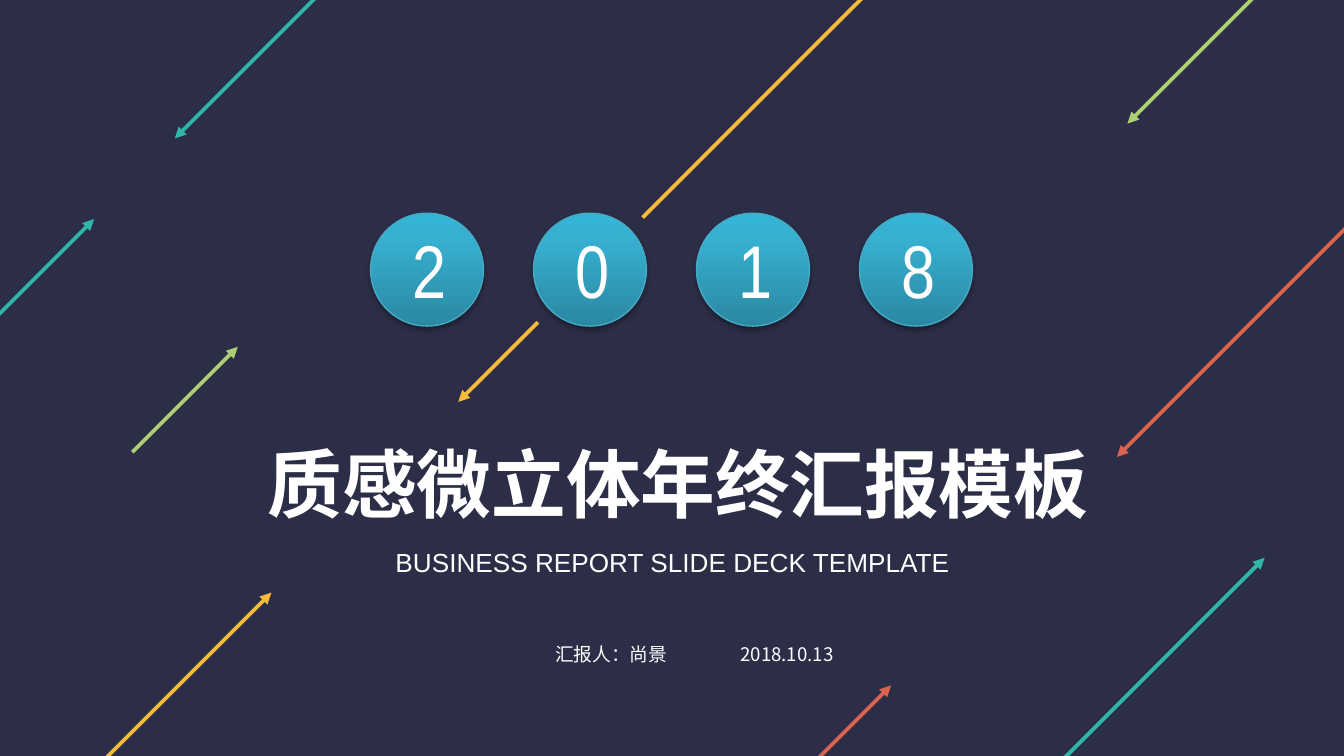
from lxml.etree import SubElement
from copy import deepcopy
from pptx import Presentation
from pptx.dml.color import RGBColor
from pptx.enum.shapes import MSO_CONNECTOR, MSO_SHAPE
from pptx.enum.text import MSO_AUTO_SIZE, PP_ALIGN
from pptx.oxml.ns import qn
from pptx.util import Pt

NAVY, WHITE = "2C2E47", "FFFFFF"
YELLOW, TEAL, GREEN, RED = "F7BA3B", "2FB6A8", "ADD072", "DA634F"
CJK = "Noto Sans CJK SC"
ARROWS = [
    (245.5, 215.3, 229, YELLOW),
    (50.4, 117.4, -76, TEAL),
    (604, 66.2, 85, GREEN),
    (145.4, 317.5, -136, YELLOW),
    (598.3, 244.8, 155.5, RED),
    (677.5, 298.8, -130.3, TEAL),
    (477.4, 367.2, -60.5, RED),
    (93.6, 74.2, 121, TEAL),
    (127.4, 185.8, -56.5, GREEN),
]
GRADIENT = [(0, "2A88A2"), (0.8, "37B1D2"), (1, "34B4D6")]


def rgb(color):
    """Turn a hex string into a colour."""
    return RGBColor.from_string(color)


def add_arrow(slide, x, y, run, color):
    """Draw a 45-degree arrow with its tip at x, y and its start run points to the upper right."""
    s = slide.shapes.add_connector(
        MSO_CONNECTOR.STRAIGHT, Pt(x + run), Pt(y - run), Pt(x), Pt(y))
    s.line.color.rgb = rgb(color)
    s.line.width = Pt(2)
    SubElement(s.line._get_or_add_ln(), qn("a:tailEnd"), type="triangle")
    SubElement(s._element.spPr, qn("a:effectLst"))


def add_circle(slide, cx, cy, size):
    """Add a borderless navy circle around a centre point."""
    sp = slide.shapes.add_shape(
        MSO_SHAPE.OVAL, Pt(cx - size / 2), Pt(cy - size / 2), Pt(size), Pt(size))
    sp.shadow.inherit = False
    sp.fill.solid()
    sp.fill.fore_color.rgb = rgb(NAVY)
    sp.line.fill.background()
    return sp


def add_gradient(sp):
    """Fill a shape with the blue gradient, dark at the bottom."""
    sp.fill.gradient()
    sp.fill.gradient_angle = 90
    stops = sp._element.spPr.find(".//" + qn("a:gsLst"))
    stops.append(deepcopy(stops[-1]))
    for stop, (position, color) in zip(sp.fill.gradient_stops, GRADIENT):
        stop.position = position
        stop.color.rgb = rgb(color)


def add_shadow(sp):
    """Give a shape a soft shadow below it."""
    effects = sp._element.spPr.find(qn("a:effectLst"))
    shadow = SubElement(effects, qn("a:outerShdw"), blurRad=str(Pt(3.1)),
                        dist=str(Pt(1.8)), dir="5400000", algn="t", rotWithShape="0")
    black = SubElement(shadow, qn("a:srgbClr"), val="000000")
    SubElement(black, qn("a:alpha"), val="35000")


def add_text(slide, text, x, y, w, h, size, font="Arial", bold=False,
             align=PP_ALIGN.CENTER, wrap=False, inset=(0, 0)):
    """Add a one-line white text box."""
    s = slide.shapes.add_textbox(Pt(x), Pt(y), Pt(w), Pt(h))
    tf = s.text_frame
    tf.word_wrap = wrap
    tf.auto_size = MSO_AUTO_SIZE.SHAPE_TO_FIT_TEXT
    tf.margin_left = tf.margin_right = Pt(inset[0])
    tf.margin_top = tf.margin_bottom = Pt(inset[1])
    p = tf.paragraphs[0]
    p.alignment = align
    r = p.add_run()
    r.text = text
    r.font.size = Pt(size)
    r.font.bold = bold
    r.font.name = font
    r.font.color.rgb = rgb(WHITE)
    SubElement(r._r.get_or_add_rPr(), qn("a:ea"), typeface=CJK)


def add_badge(slide, digit, cx, cy):
    """Add a raised round badge with a digit and a navy ring that hides the arrow behind."""
    add_circle(slide, cx, cy, 79.2)
    sp = add_circle(slide, cx, cy, 60.5)
    add_gradient(sp)
    sp.line.color.rgb = rgb("46AAC5")
    sp.line.width = Pt(0.75)
    add_shadow(sp)
    add_text(slide, digit, cx - 15.1, cy - 28, 30.2, 55.6, 40,
             font="Arial Narrow", wrap=True, inset=(7.2, 3.6))


def main():
    """Build the cover slide."""
    prs = Presentation()
    prs.slide_width, prs.slide_height = Pt(720), Pt(405)
    slide = prs.slides.add_slide(prs.slide_layouts[6])
    slide.background.fill.solid()
    slide.background.fill.fore_color.rgb = rgb(NAVY)
    for arrow in ARROWS:
        add_arrow(slide, *arrow)
    for i, digit in enumerate("2018"):
        add_badge(slide, digit, 228.8 + 87.3 * i, 144.5)
    add_text(slide, "质感微立体年终汇报模板", 141.1, 234.7, 444.2, 48.2, 40, bold=True)
    add_text(slide, "BUSINESS REPORT SLIDE DECK TEMPLATE", 204.5, 293, 311.8, 17.3, 14)
    add_text(slide, "汇报人：尚景", 297.4, 344.2, 59.8, 12.2, 10, font=CJK, align=PP_ALIGN.RIGHT)
    add_text(slide, "2018.10.13", 396.7, 344.2, 52.6, 12.2, 10, font=CJK, align=PP_ALIGN.LEFT)
    prs.save("out.pptx")


if __name__ == "__main__":
    main()
